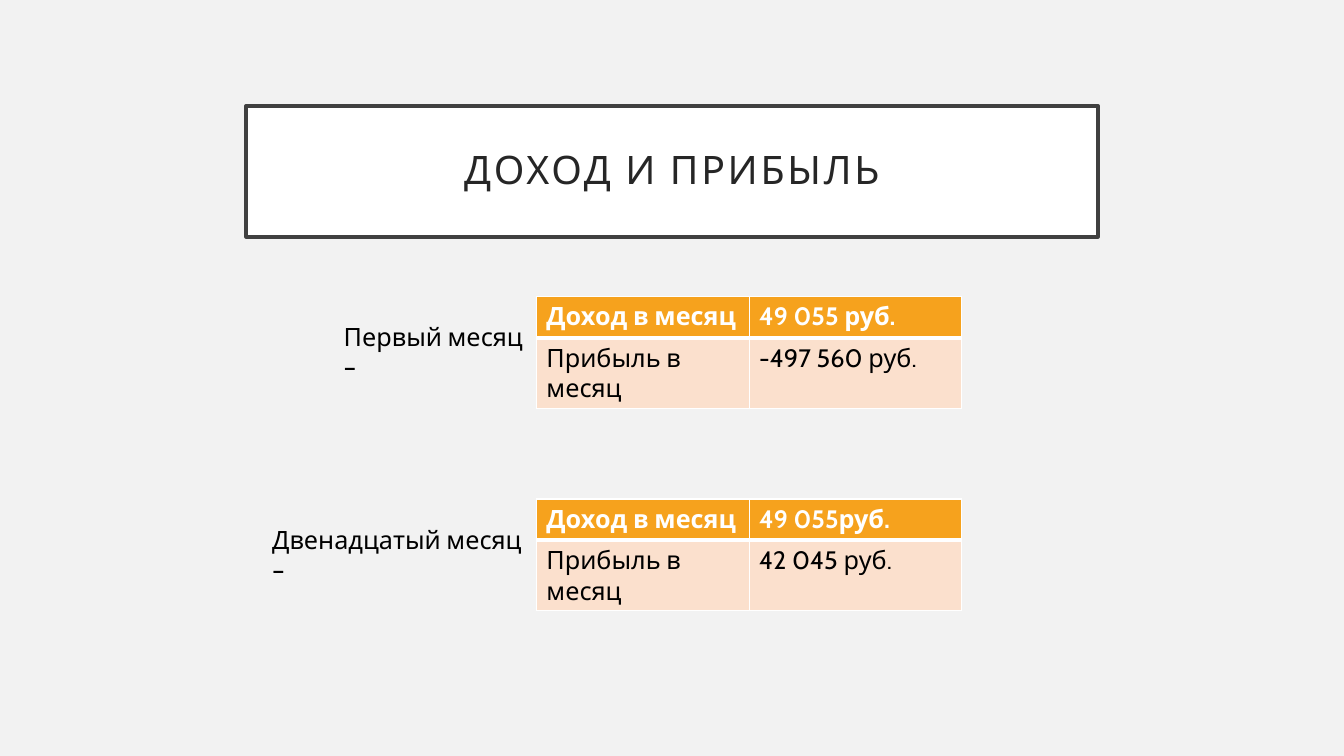
from lxml import etree
from pptx import Presentation
from pptx import util as u
from pptx.dml.color import RGBColor
from pptx.enum import shapes, text
from pptx.oxml.ns import qn

FONT = "Cabin"
COLORS = {
    "background": "F2F2F2",
    "white": "FFFFFF",
    "frame": "404040",
    "title": "262626",
    "text": "000000",
    "header": "F6A21D",
    "body": "FBE0CD",
}
TABLE_LEFT, COLUMN_WIDTH, ROW_HEIGHT = 5.32, 2.11, 0.41

# Month label, label left and width, table top, income, profit
MONTHS = [
    ("Первый месяц –", 3.31, 2.01, 2.94, "49 055 руб.", "-497\u00a0560 руб."),
    ("Двенадцатый месяц –", 2.6, 2.85, 4.95, "49 055руб.", "42\u00a0045 руб."),
]


def color(name):
    return RGBColor.from_string(COLORS[name])


def paint(fill, name):
    fill.solid()
    fill.fore_color.rgb = color(name)


def add_run(paragraph, words, size, color_name, bold=False):
    run = paragraph.add_run()
    run.text = words
    run.font.name = FONT
    run.font.size = u.Pt(size)
    run.font.bold = bold
    run.font.color.rgb = color(color_name)
    return run


def add_title(slide, words):
    shape = slide.shapes.add_shape(
        shapes.MSO_SHAPE.RECTANGLE,
        u.Inches(2.44), u.Inches(1.05), u.Inches(8.45), u.Inches(1.3))
    shape.shadow.inherit = False
    paint(shape.fill, "white")
    shape.line.color.rgb = color("frame")
    shape.line.width = u.Pt(2.5)
    frame = shape.text_frame
    frame.word_wrap = True
    frame.vertical_anchor = text.MSO_ANCHOR.MIDDLE
    frame.margin_left = frame.margin_right = u.Inches(0.2)
    frame.margin_top = frame.margin_bottom = u.Inches(0.2)
    paragraph = frame.paragraphs[0]
    paragraph.alignment = text.PP_ALIGN.CENTER
    paragraph.line_spacing = 0.9
    run = add_run(paragraph, words, 28, "title")
    run.font._element.set("spc", "200")  # letter spacing, 2 pt


def add_label(slide, words, left, top, width):
    box = slide.shapes.add_textbox(
        u.Inches(left), u.Inches(top), u.Inches(width), u.Inches(0.4))
    box.text_frame.word_wrap = True
    add_run(box.text_frame.paragraphs[0], words, 18, "text")


def set_borders(cell, widths):
    """Draw white borders; they must precede the fill in the cell."""
    properties = cell._tc.get_or_add_tcPr()
    for position, (side, width) in enumerate(widths.items()):
        line = etree.Element(qn("a:ln" + side), w=str(u.Pt(width)))
        fill = etree.SubElement(line, qn("a:solidFill"))
        etree.SubElement(fill, qn("a:srgbClr"), val=COLORS["white"])
        properties.insert(position, line)


def add_month_table(slide, top, rows):
    table = slide.shapes.add_table(
        len(rows), 2, u.Inches(TABLE_LEFT), u.Inches(top),
        u.Inches(2 * COLUMN_WIDTH), u.Inches(len(rows) * ROW_HEIGHT)).table
    for row_index, row in enumerate(rows):
        header = row_index == 0
        for column_index, words in enumerate(row):
            cell = table.cell(row_index, column_index)
            paint(cell.fill, "header" if header else "body")
            # A thick rule separates the header from the body
            set_borders(cell, {"L": 1, "R": 1, "T": 1 if header else 3,
                               "B": 3 if header else 1})
            add_run(cell.text_frame.paragraphs[0], words, 18,
                    "white" if header else "text", bold=header)


def main():
    presentation = Presentation()
    presentation.slide_width = u.Inches(13.33)
    presentation.slide_height = u.Inches(7.5)
    slide = presentation.slides.add_slide(presentation.slide_layouts[6])
    paint(slide.background.fill, "background")

    add_title(slide, "ДОХОД И ПРИБЫЛЬ")

    # One label and one table per month
    for label, left, width, top, income, profit in MONTHS:
        add_label(slide, label, left, top + 0.2, width)
        add_month_table(slide, top, [("Доход в месяц", income),
                                     ("Прибыль в месяц", profit)])

    presentation.save("out.pptx")


main()
